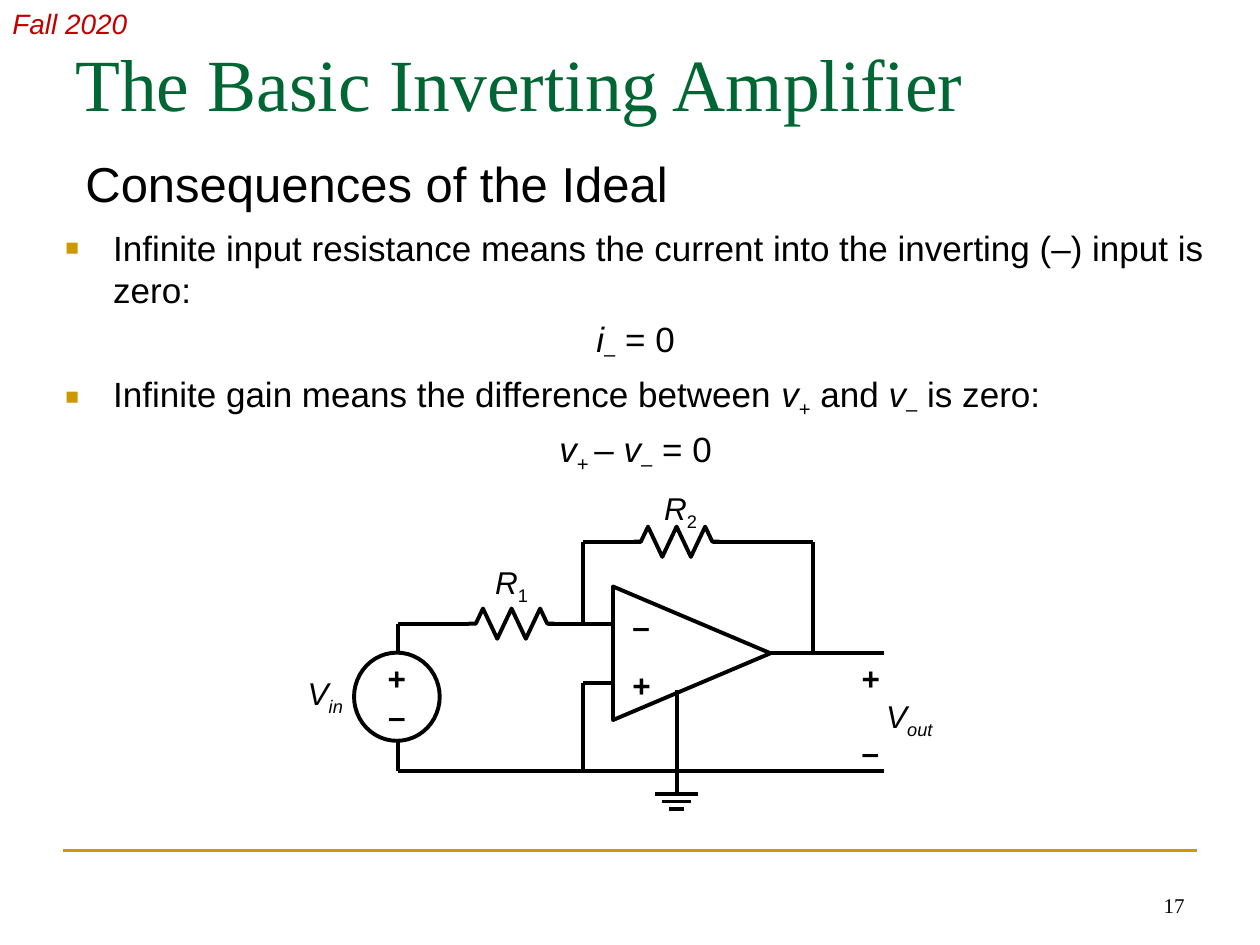
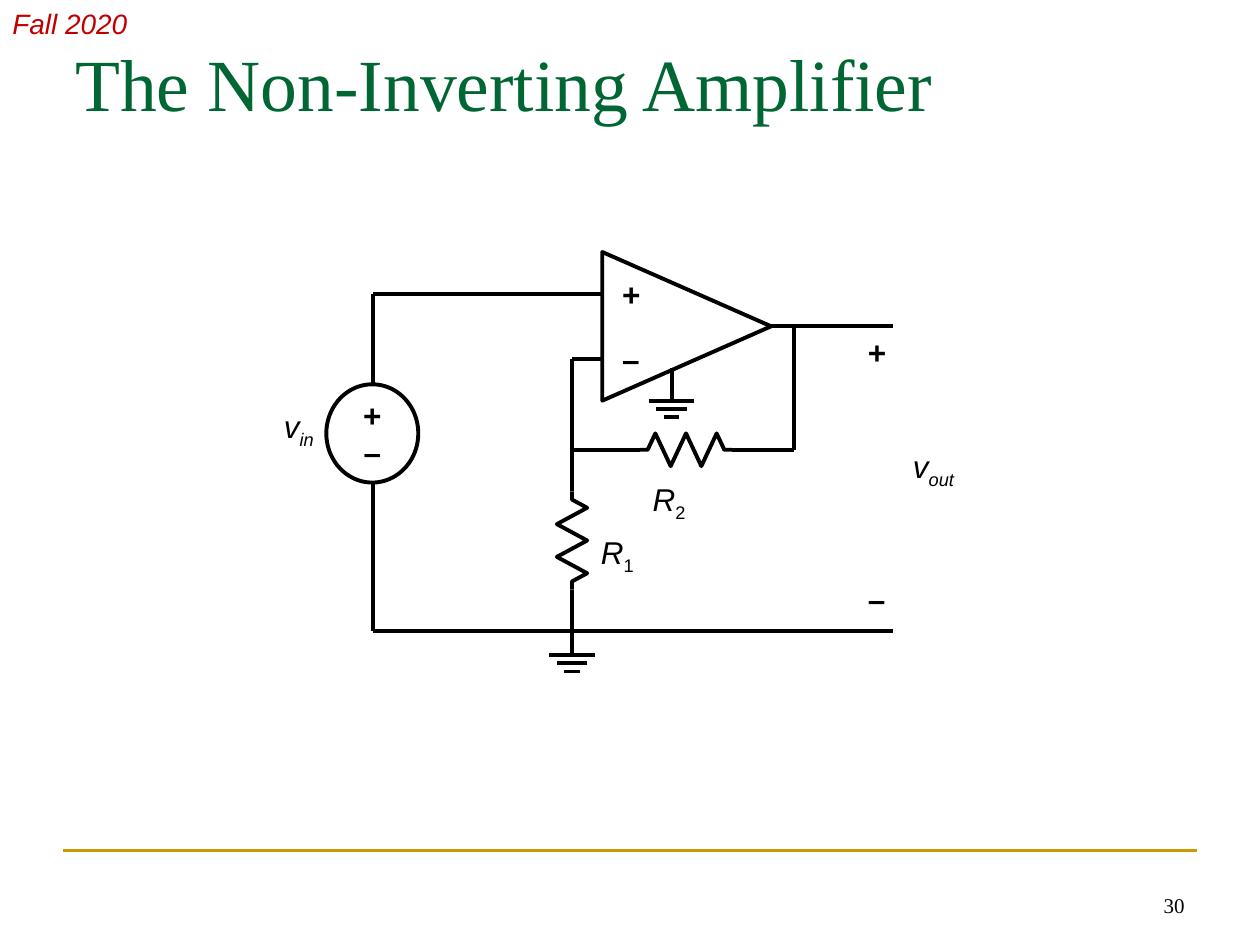
from dataclasses import dataclass
from itertools import pairwise
from typing import NamedTuple

from lxml import etree
from pptx import Presentation
from pptx.dml.color import RGBColor
from pptx.enum.shapes import MSO_CONNECTOR, MSO_SHAPE
from pptx.enum.text import MSO_ANCHOR, PP_ALIGN
from pptx.oxml.ns import qn
from pptx.util import Cm, Pt

STRAIGHT = MSO_CONNECTOR.STRAIGHT
TRIANGLE, OVAL = MSO_SHAPE.ISOSCELES_TRIANGLE, MSO_SHAPE.OVAL
LEFT, CENTER, RIGHT = PP_ALIGN.LEFT, PP_ALIGN.CENTER, PP_ALIGN.RIGHT
TOP, MIDDLE, BOTTOM = MSO_ANCHOR.TOP, MSO_ANCHOR.MIDDLE, MSO_ANCHOR.BOTTOM

COLOURS = {"ink": "000000", "title": "006633", "term": "C00000", "accent": "CC9900"}
SANS, SERIF = "Arial", "Times New Roman"
WIRE_WIDTH = 2.25
CM_PER_INCH = 2.54
ZIGZAG = [(0, 0), (1, 0), (2, -1), (4, 1), (6, -1), (8, 1), (10, -1), (11, 0), (12, 0)]


class Point(NamedTuple):
    x: float
    y: float


class Area(NamedTuple):
    left: float
    top: float
    width: float
    height: float


class Style(NamedTuple):
    size: float
    font: str = SANS
    colour: str = "ink"


class Span(NamedTuple):
    text: str
    italic: bool = False
    bold: bool = False
    subscript: bool = False


@dataclass(frozen=True)
class Paragraph:
    spans: list[Span]
    align: PP_ALIGN = LEFT
    bullet: bool = False
    indent: float = 0
    space: float = 0


@dataclass(frozen=True)
class Resistor:
    start: Point
    length: float
    swing: float
    vertical: bool = False


@dataclass(frozen=True)
class Ground:
    x: float
    stem_top: float
    top: float
    reach: float


@dataclass(frozen=True)
class Label:
    area: Area
    symbol: str
    index: str
    upright_index: bool = False
    align: PP_ALIGN = RIGHT


@dataclass(frozen=True)
class Mark:
    corner: Point
    sign: str


@dataclass(frozen=True)
class Circuit:
    amplifier: Area
    source: Area
    wires: list[list[tuple[float, float]]]
    resistors: list[Resistor]
    grounds: list[Ground]
    marks: list[Mark]
    labels: list[Label]


LABEL_STYLE = Style(18)

INVERTING = Circuit(
    amplifier=Area(4.96, 4.56, 1.06, 1.25),
    source=Area(2.81, 5.18, 0.68, 0.7),
    wires=[
        [(6.11, 5.18), (7.02, 5.18)],
        [(4.86, 4.95), (4.35, 4.95)],
        [(4.86, 5.42), (4.63, 5.42), (4.63, 6.12)],
        [(4.63, 4.95), (4.63, 4.3), (5.09, 4.3)],
        [(5.66, 4.3), (6.45, 4.3), (6.45, 5.18)],
        [(3.16, 5.18), (3.16, 4.95), (3.72, 4.95)],
        [(3.16, 5.89), (3.16, 6.12), (7.02, 6.12)],
    ],
    resistors=[
        Resistor(Point(3.72, 4.95), 0.68, 0.12),
        Resistor(Point(5.03, 4.3), 0.68, 0.12),
    ],
    grounds=[Ground(5.37, 5.48, 6.3, 0.17)],
    marks=[
        Mark(Point(4.92, 4.77), "–"),
        Mark(Point(4.92, 5.24), "+"),
        Mark(Point(6.74, 5.18), "+"),
        Mark(Point(6.74, 5.77), "–"),
    ],
    labels=[
        Label(Area(2.17, 5.3, 0.65, 0.4), "V", "in"),
        Label(Area(6.74, 5.48, 0.76, 0.4), "V", "out"),
        Label(Area(3.75, 4.42, 0.54, 0.4), "R", "1", True),
        Label(Area(4.92, 3.83, 0.71, 0.4), "R", "2", True),
    ],
)

NON_INVERTING = Circuit(
    amplifier=Area(4.86, 1.92, 1.18, 1.34),
    source=Area(2.59, 3.05, 0.73, 0.78),
    wires=[
        [(6.12, 2.59), (7.09, 2.59)],
        [(4.78, 2.85), (4.54, 2.85), (4.54, 3.9)],
        [(2.96, 3.05), (2.96, 2.33), (4.78, 2.33)],
        [(2.96, 3.83), (2.96, 5.01), (7.09, 5.01)],
        [(5.08, 3.57), (4.54, 3.57)],
        [(5.81, 3.57), (6.3, 3.57), (6.3, 2.59)],
    ],
    resistors=[
        Resistor(Point(4.54, 3.9), 0.78, 0.12, vertical=True),
        Resistor(Point(5.08, 3.57), 0.73, 0.13),
    ],
    grounds=[Ground(5.33, 2.92, 3.18, 0.18), Ground(4.54, 4.68, 5.2, 0.18)],
    marks=[
        Mark(Point(4.84, 2.13), "+"),
        Mark(Point(4.84, 2.65), "–"),
        Mark(Point(6.79, 2.59), "+"),
        Mark(Point(6.79, 4.55), "–"),
    ],
    labels=[
        Label(Area(1.83, 3.18, 0.76, 0.4), "v", "in"),
        Label(Area(6.79, 3.5, 0.88, 0.4), "v", "out"),
        Label(Area(4.67, 4.18, 0.7, 0.4), "R", "1", True, LEFT),
        Label(Area(4.83, 3.76, 0.71, 0.4), "R", "2", True),
    ],
)

V, PLUS, MINUS = Span("v", italic=True), Span("+", subscript=True), Span("–", subscript=True)
EQUALS_ZERO = Span(" = 0")
CONSEQUENCES = [
    Paragraph([Span("Infinite input resistance means the current into the inverting (–) input is zero:")],
              bullet=True, indent=0.38),
    Paragraph([Span("i", italic=True), MINUS, EQUALS_ZERO], CENTER, indent=0.38, space=4),
    Paragraph([Span("Infinite gain means the difference between "), V, PLUS,
               Span(" and "), V, MINUS, Span(" is zero:")], bullet=True, indent=0.38, space=4),
    Paragraph([V, Span("+ ", subscript=True), Span("– "), V, MINUS, EQUALS_ZERO],
              CENTER, indent=0.38, space=4),
]


def length(inches: float) -> Cm:
    return Cm(inches * CM_PER_INCH)


def colour(name: str) -> RGBColor:
    return RGBColor.from_string(COLOURS[name])


def add_bullet(properties) -> None:
    tint = etree.SubElement(properties, qn("a:buClr"))
    etree.SubElement(tint, qn("a:srgbClr"), val=COLOURS["accent"])
    etree.SubElement(properties, qn("a:buSzPct"), val="65000")
    etree.SubElement(properties, qn("a:buFont"), typeface=SANS)
    etree.SubElement(properties, qn("a:buChar"), char="■")


def write(frame, paragraphs: list[Paragraph], style: Style) -> None:
    for number, content in enumerate(paragraphs):
        para = frame.add_paragraph() if number else frame.paragraphs[0]
        properties = para._p.get_or_add_pPr()
        if content.indent:
            properties.set("marL", str(length(content.indent)))
            properties.set("indent", str(-length(content.indent)))
        if content.bullet:
            add_bullet(properties)
        para.alignment = content.align
        if content.space:
            para.space_before = Pt(content.space)
        for span in content.spans:
            run = para.add_run()
            run.text = span.text
            run.font.name, run.font.size = style.font, Pt(style.size)
            run.font.color.rgb = colour(style.colour)
            run.font.italic, run.font.bold = span.italic, span.bold
            if span.subscript:
                run._r.get_or_add_rPr().set("baseline", "-25000")


def add_text(page, area: Area, paragraphs: list[Paragraph], style: Style, anchor=TOP) -> None:
    box = page.shapes.add_textbox(*map(length, area))
    box.text_frame.word_wrap = True
    box.text_frame.vertical_anchor = anchor
    write(box.text_frame, paragraphs, style)


def add_line(page, start, end, ink: str = "ink", width: float = WIRE_WIDTH) -> None:
    line = page.shapes.add_connector(STRAIGHT, *map(length, (*start, *end)))
    line.line.color.rgb = colour(ink)
    line.line.width = Pt(width)
    etree.SubElement(line._element.spPr, qn("a:effectLst"))


def outline(shape) -> None:
    shape.shadow.inherit = False
    shape.fill.background()
    shape.line.color.rgb = colour("ink")
    shape.line.width = Pt(WIRE_WIDTH)


def add_resistor(page, resistor: Resistor) -> None:
    points = []
    for step, side in ZIGZAG:
        along, across = step * resistor.length / 12, side * resistor.swing
        dx, dy = (-across, along) if resistor.vertical else (along, across)
        points.append((length(resistor.start.x + dx), length(resistor.start.y + dy)))
    builder = page.shapes.build_freeform(*points[0], scale=1.0)
    builder.add_line_segments(points[1:], close=False)
    outline(builder.convert_to_shape())


def add_ground(page, ground: Ground) -> None:
    add_line(page, (ground.x, ground.stem_top), (ground.x, ground.top))
    for bar in range(3):
        half = ground.reach * (3 - bar) / 3
        y = ground.top + bar * ground.reach * 0.36
        add_line(page, (ground.x + half, y), (ground.x - half, y))


def add_label(page, label: Label) -> None:
    spans = [Span(label.symbol, italic=True),
             Span(label.index, italic=not label.upright_index, subscript=True)]
    add_text(page, label.area, [Paragraph(spans, label.align)], LABEL_STYLE)


def draw_circuit(page, circuit: Circuit) -> None:
    amplifier = page.shapes.add_shape(TRIANGLE, *map(length, circuit.amplifier))
    amplifier.rotation = 90
    outline(amplifier)
    for wire in circuit.wires:
        for start, end in pairwise(wire):
            add_line(page, start, end)
    for resistor in circuit.resistors:
        add_resistor(page, resistor)
    for ground in circuit.grounds:
        add_ground(page, ground)
    for mark in circuit.marks:
        add_text(page, Area(*mark.corner, 0.3, 0.38),
                 [Paragraph([Span(mark.sign, bold=True)])], LABEL_STYLE)
    for label in circuit.labels:
        add_label(page, label)
    source = page.shapes.add_shape(OVAL, *map(length, circuit.source))
    outline(source)
    source.text_frame.word_wrap = False
    source.text_frame.vertical_anchor = MIDDLE
    write(source.text_frame,
          [Paragraph([Span(sign, bold=True)], CENTER) for sign in "+–"], LABEL_STYLE)


def add_page(deck, title: str, number: int):
    page = deck.slides.add_slide(deck.slide_layouts[6])
    add_line(page, (0.5, 6.75), (9.5, 6.75), "accent", 1.5)
    add_text(page, Area(0, 0, 1.75, 0.37), [Paragraph([Span("Fall 2020", italic=True)])],
             Style(16, colour="term"))
    add_text(page, Area(7.17, 6.83, 2.33, 0.5), [Paragraph([Span(str(number))], RIGHT)],
             Style(12, SERIF), BOTTOM)
    add_text(page, Area(0.5, 0.25, 9, 1.25), [Paragraph([Span(title)])],
             Style(42, SERIF, "title"))
    return page


def main() -> None:
    deck = Presentation()
    deck.slide_width, deck.slide_height = length(10), length(7.5)

    page = add_page(deck, "The Basic Inverting Amplifier", 17)
    draw_circuit(page, INVERTING)
    add_text(page, Area(0.42, 1.75, 9.25, 4.92), CONSEQUENCES, Style(20))
    add_text(page, Area(0.58, 1.17, 5.33, 0.75),
             [Paragraph([Span("Consequences of the Ideal")])], Style(28))

    page = add_page(deck, "The Non-Inverting Amplifier", 30)
    draw_circuit(page, NON_INVERTING)

    deck.save("out.pptx")


if __name__ == "__main__":
    main()
